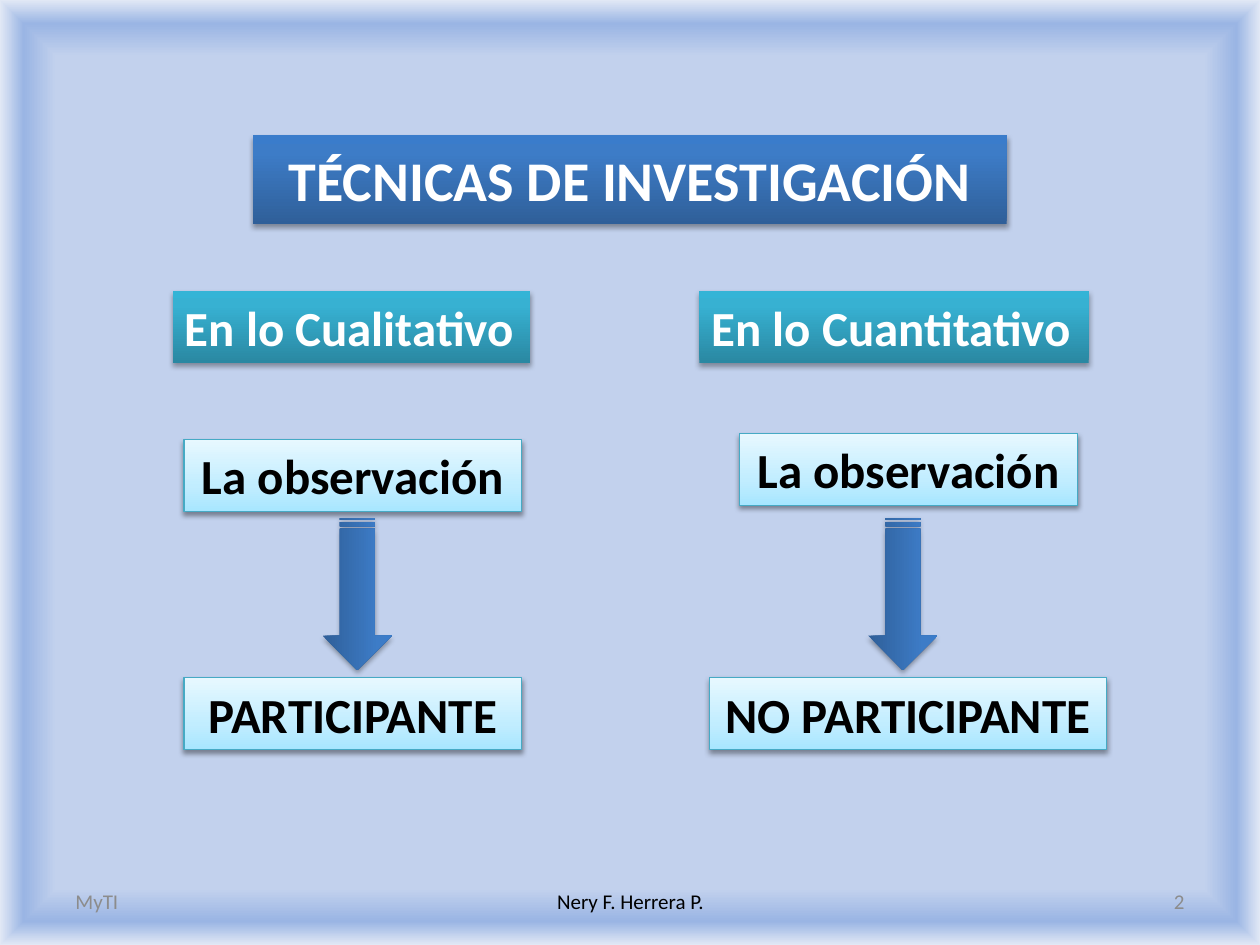
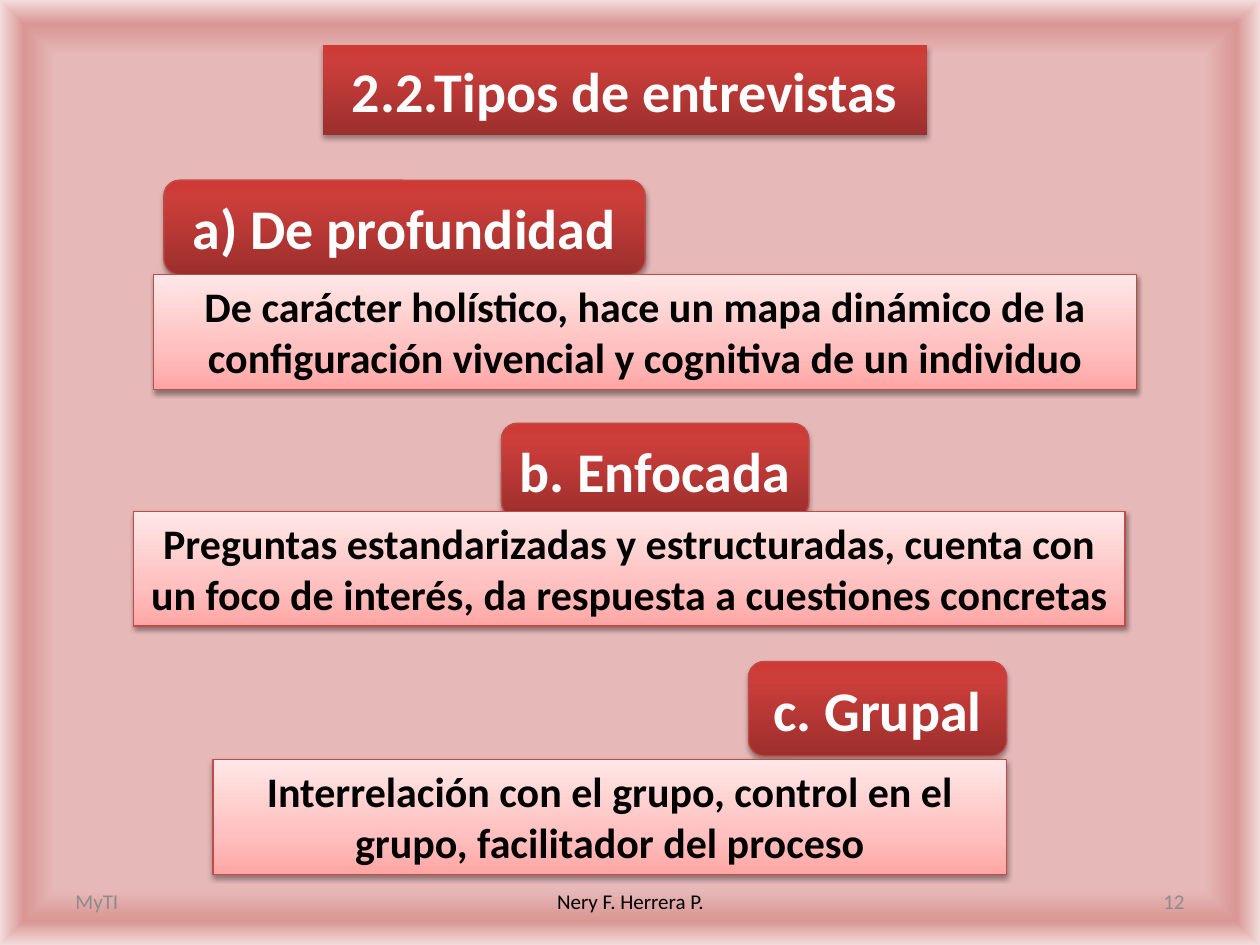
from collections import namedtuple

from lxml.etree import SubElement
from pptx import Presentation
from pptx.dml.color import RGBColor
from pptx.enum.shapes import MSO_SHAPE as Geometry
from pptx.enum.text import MSO_ANCHOR as Anchor, MSO_AUTO_SIZE as AutoSize, PP_ALIGN as Align
from pptx.oxml.ns import qn
from pptx.util import Pt

PX = 9144  # 100 px to the inch
FONT = "Calibri"
WHITE, BLACK, GREY = (RGBColor(v, v, v) for v in (0xFF, 0x00, 0x8C))
TEAL_LINE = RGBColor(0x46, 0xAA, 0xC5)
RED_LINE = RGBColor(0xBF, 0x4C, 0x48)


def ramp(positions, *colours):
    return [(at, RGBColor.from_string(c)) for at, c in zip(positions, colours)]


INTENSE, SUBTLE, FRAME = (0, 80, 100), (0, 35, 100), (88, 95, 100)
BLUE = ramp(INTENSE, "2F5F99", "3D7CC7", "3A7CCB")
TEAL = ramp(INTENSE, "2A88A2", "37B1D2", "34B4D6")
RED = ramp(INTENSE, "9C2F2D", "CB3E3A", "CE3B37")
PALE_TEAL = ramp(SUBTLE, "A7E6FF", "C1EDFF", "E7F8FF")
PALE_RED = ramp(SUBTLE, "FFA6A5", "FFC0BF", "FFE7E7")
BLUE_FRAME = ramp(FRAME, "C2D1ED", "9AB5E4", "E1E8F5")
RED_FRAME = ramp(FRAME, "E6B9B8", "D99694", "F2DCDB")

# shadow: opacity %, distance in points
Look = namedtuple("Look", "stops line size colour align anchor wrap shadow")
STRONG, SOFT = (35, 1.8), (38, 1.6)
BLUE_TITLE = Look(BLUE, None, 32, WHITE, Align.CENTER, Anchor.MIDDLE, True, STRONG)
RED_TITLE = BLUE_TITLE._replace(stops=RED)
TYPE_NAME = RED_TITLE._replace(line=RED_LINE)
APPROACH = Look(TEAL, None, 28, WHITE, Align.LEFT, Anchor.TOP, False, STRONG)
TECHNIQUE = Look(PALE_TEAL, TEAL_LINE, 28, BLACK, Align.CENTER, Anchor.TOP, True, SOFT)
DESCRIPTION = TECHNIQUE._replace(stops=PALE_RED, line=RED_LINE, size=24)

# Content: boxes are left, top, width, height in px
TECHNIQUES_TITLE = ("TÉCNICAS DE INVESTIGACIÓN", (201, 107, 598, 71))
TECHNIQUE_COLUMNS = [
    {"approach": ("En lo Cualitativo", (137, 231, 284, 57)),
     "technique": ("La observación", (146, 349, 268, 57)),
     "arrow": (223, 444, 121, 55),
     "role": ("PARTICIPANTE", (146, 538, 268, 57))},
    {"approach": ("En lo Cuantitativo", (555, 231, 309, 57)),
     "technique": ("La observación", (587, 344, 268, 57)),
     "arrow": (656, 444, 121, 55),
     "role": ("NO PARTICIPANTE", (563, 538, 315, 57))},
]
INTERVIEWS_TITLE = ("2.2.Tipos de entrevistas", (256, 36, 480, 71))
INTERVIEW_TYPES = [
    ("a) De profundidad", (130, 143, 382, 75),
     "De carácter holístico, hace un mapa dinámico de la "
     "configuración vivencial y cognitiva de un individuo", (122, 218, 780, 91)),
    ("b. Enfocada", (398, 336, 244, 75),
     "Preguntas estandarizadas y estructuradas, cuenta con "
     "un foco de interés, da respuesta a cuestiones concretas", (106, 406, 787, 91)),
    ("c. Grupal", (594, 525, 205, 75),
     "Interrelación con el grupo, control en el "
     "grupo, facilitador del proceso", (169, 603, 630, 91)),
]
FOOTER_TOP, FOOTER_HEIGHT = 695, 40
FOOTERS = [
    ("MyTI", 50, 233, Align.LEFT, GREY),
    ("Nery F. Herrera P.", 342, 317, Align.CENTER, BLACK),
    ("{number}", 717, 233, Align.RIGHT, GREY),
]


def emu(box):
    return [length * PX for length in box]


def paint_gradient(filled, parent, stops, framed=False):
    """Put a bottom-to-top gradient, or one that follows the frame, in place of the fill."""
    filled.solid()
    solid = parent.find(qn("a:solidFill"))
    gradient = parent.makeelement(qn("a:gradFill"), {"rotWithShape": "1"})
    stop_list = SubElement(gradient, qn("a:gsLst"))
    for at, colour in stops:
        stop = SubElement(stop_list, qn("a:gs"), pos=str(at * 1000))
        SubElement(stop, qn("a:srgbClr"), val=str(colour))
    if framed:
        shade = SubElement(gradient, qn("a:path"), {"path": "shape"})
        SubElement(shade, qn("a:fillToRect"), dict.fromkeys("ltrb", "50000"))
    else:
        SubElement(gradient, qn("a:lin"), ang=str(270 * 60000), scaled="0")
    parent.replace(solid, gradient)


def cast_shadow(shape, opacity, distance):
    shape.shadow.inherit = False
    effects = shape.element.spPr.find(qn("a:effectLst"))
    shadow = SubElement(effects, qn("a:outerShdw"), blurRad=str(Pt(3.1)),
                        dist=str(Pt(distance)), dir=str(90 * 60000), rotWithShape="0")
    black = SubElement(shadow, qn("a:srgbClr"), val=str(BLACK))
    SubElement(black, qn("a:alpha"), val=str(opacity * 1000))


def write(shape, text, size, colour, align, anchor, bold=True):
    frame = shape.text_frame
    frame.text = text
    frame.word_wrap = True
    frame.vertical_anchor = anchor
    paragraph = frame.paragraphs[0]
    paragraph.alignment = align
    font = paragraph.runs[0].font
    font.name, font.size, font.bold = FONT, Pt(size), bold
    font.color.rgb = colour


def dress(shape, look, text=None):
    paint_gradient(shape.fill, shape.element.spPr, look.stops)
    if look.line:
        shape.line.color.rgb = look.line
        shape.line.width = Pt(0.75)
    else:
        shape.line.fill.background()
    cast_shadow(shape, *look.shadow)
    if text:
        write(shape, text, look.size, look.colour, look.align, look.anchor)
        grows = look.anchor == Anchor.TOP
        shape.text_frame.auto_size = AutoSize.SHAPE_TO_FIT_TEXT if grows else AutoSize.NONE
        shape.text_frame.word_wrap = look.wrap


def add_box(slide, look, text, box, geometry=Geometry.RECTANGLE):
    dress(slide.shapes.add_shape(geometry, *emu(box)), look, text)


def add_slide(deck, number, frame_stops, title, title_geometry, title_look):
    """Add a slide with its framed background, title plate and footers."""
    slide = deck.slides.add_slide(deck.slide_layouts[5])
    fill = slide.background.fill
    fill.solid()
    paint_gradient(fill, slide.element.find(".//" + qn("p:bgPr")), frame_stops, framed=True)

    text, box = title
    plate = slide.shapes.title
    plate.left, plate.top, plate.width, plate.height = emu(box)
    properties = plate.element.spPr
    outline = properties.makeelement(qn("a:prstGeom"), {"prst": title_geometry})
    SubElement(outline, qn("a:avLst"))
    properties.find(qn("a:xfrm")).addnext(outline)
    dress(plate, title_look, text)

    for label, left, width, align, colour in FOOTERS:
        footer = slide.shapes.add_textbox(*emu((left, FOOTER_TOP, width, FOOTER_HEIGHT)))
        write(footer, label.format(number=number), 12, colour, align, Anchor.MIDDLE, bold=False)
    return slide


def add_techniques(deck):
    slide = add_slide(deck, 2, BLUE_FRAME, TECHNIQUES_TITLE, "roundRect", BLUE_TITLE)
    for column in TECHNIQUE_COLUMNS:
        add_box(slide, APPROACH, *column["approach"])
        add_box(slide, TECHNIQUE, *column["technique"])
        arrow = slide.shapes.add_shape(Geometry.STRIPED_RIGHT_ARROW, *emu(column["arrow"]))
        arrow.rotation = 90
        dress(arrow, BLUE_TITLE)
        add_box(slide, TECHNIQUE, *column["role"])


def add_interviews(deck):
    slide = add_slide(deck, 12, RED_FRAME, INTERVIEWS_TITLE, "round2DiagRect", RED_TITLE)
    for name, name_box, description, description_box in INTERVIEW_TYPES:
        add_box(slide, TYPE_NAME, name, name_box, Geometry.ROUNDED_RECTANGLE)
        add_box(slide, DESCRIPTION, description, description_box)


def main():
    deck = Presentation()
    deck.slide_width, deck.slide_height = emu((1000, 750))
    add_techniques(deck)
    add_interviews(deck)
    deck.save("out.pptx")


if __name__ == "__main__":
    main()
